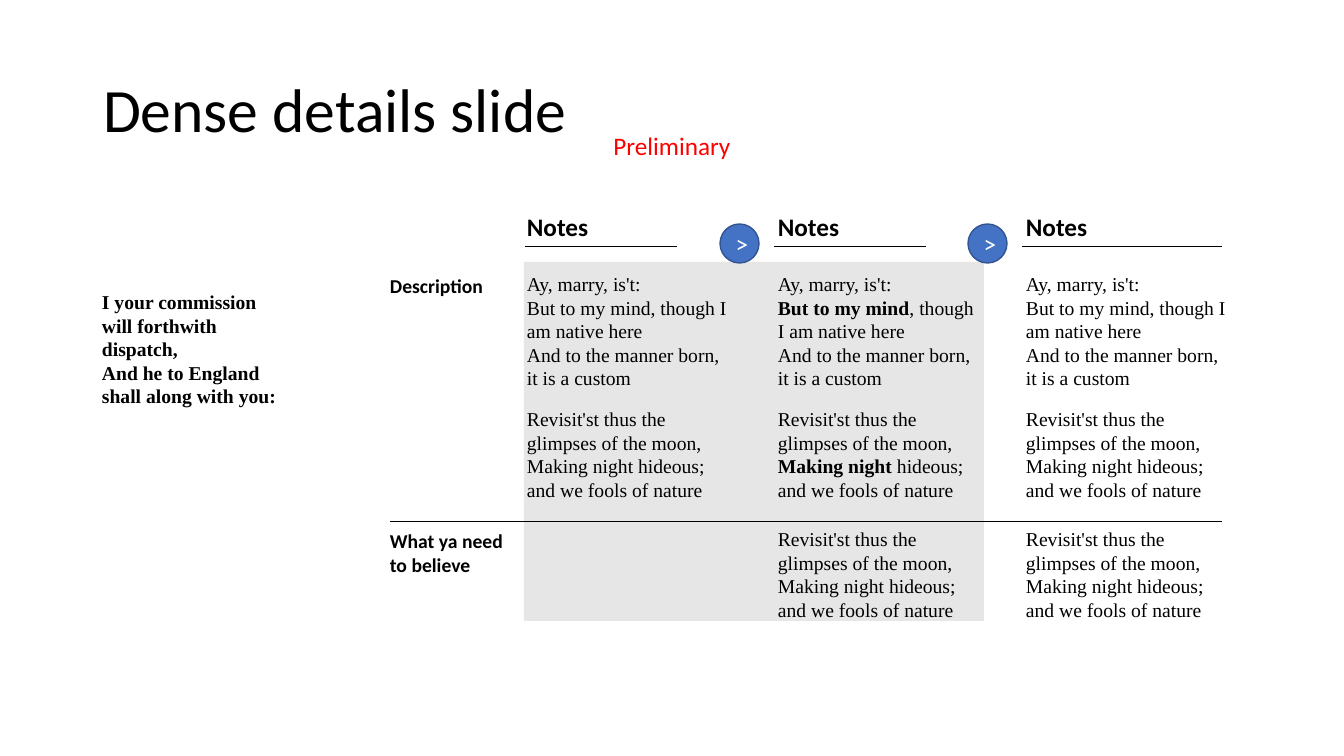
"""Builds a dense details slide with three columns of notes."""
from copy import deepcopy

from lxml.etree import SubElement
from pptx import Presentation
from pptx.dml.color import RGBColor
from pptx.enum.shapes import MSO_CONNECTOR, MSO_SHAPE
from pptx.enum.text import MSO_ANCHOR, MSO_AUTO_SIZE, PP_ALIGN
from pptx.oxml.ns import qn
from pptx.util import Emu, Pt

EMU_PER_PX = 914400 / 100.8
COLORS = {
    "black": "000000", "white": "FFFFFF", "red": "FF0000",
    "panel": "E7E6E6", "circle": "4472C4", "circle_edge": "325491",
}
SERIF = "Times New Roman"


def px(*lengths):
    return [Emu(round(length * EMU_PER_PX)) for length in lengths]


def write(shape, text, size=14, font=SERIF, color="black", bold=False,
          align=PP_ALIGN.LEFT, anchor=MSO_ANCHOR.TOP, fit=MSO_AUTO_SIZE.NONE):
    """Fill a shape; ** toggles bold and a newline is a line break."""
    frame = shape.text_frame
    frame.word_wrap = True
    frame.auto_size = fit
    frame.vertical_anchor = anchor
    paragraph = frame.paragraphs[0]
    paragraph.alignment = align
    for part_index, part in enumerate(text.split("**")):
        for line_index, line in enumerate(part.split("\n")):
            if line_index:
                paragraph.add_line_break()
                line_break = paragraph._p.findall(qn("a:br"))[-1]
                line_break.append(deepcopy(run._r.rPr))
            if not line:
                continue
            run = paragraph.add_run()
            run.text = line
            run.font.size = Pt(size)
            run.font.name = font
            run.font.bold = bold or part_index % 2 == 1
            run.font.color.rgb = RGBColor.from_string(COLORS[color])
    return paragraph


presentation = Presentation()
presentation.slide_width, presentation.slide_height = px(1344, 756)
slide = presentation.slides.add_slide(presentation.slide_layouts[5])
shapes = slide.shapes

panel = shapes.add_shape(MSO_SHAPE.RECTANGLE, *px(524, 262, 460, 359))
panel.shadow.inherit = False
panel.fill.solid()
panel.fill.fore_color.rgb = RGBColor.from_string(COLORS["panel"])
panel.line.fill.background()

title = shapes.title
title.left, title.top, title.width, title.height = px(93, 40, 1159, 146)
heading = write(title, "Dense details slide", size=44, font="Calibri",
                anchor=MSO_ANCHOR.MIDDLE)
heading.line_spacing = 0.9

custom = "Ay, marry, is't:\n{}, though I am native here\nAnd to the manner born, it is a custom"
moon = "Revisit'st thus the glimpses of the moon,\n{}hideous; and we fools of nature"
plain_custom = custom.format("But to my mind")
plain_moon = moon.format("Making night ")
columns = [
    (517, plain_custom, plain_moon, None),
    (768, custom.format("**But to my mind**"), moon.format("**Making night **"), plain_moon),
    (1016, plain_custom, plain_moon, plain_moon),
]
heading_format = {"size": 18, "font": "Calibri", "bold": True}
label_format = {"font": "Calibri", "bold": True}
text_boxes = [
    (380, 524, 134, 57, "What ya need to believe", label_format),
    (380, 269, 166, 34, "Description", label_format),
    (92, 285, 208, 129,
     "I your commission will forthwith dispatch,\nAnd he to England shall along with you:",
     {"bold": True}),
]
for left, description, detail, belief in columns:
    text_boxes += [
        (left, 206, 90, 40, "Notes", heading_format),
        (left, 267, 223, 129, description, {}),
        (left, 402, 223, 105, detail, {}),
    ]
    if belief:
        text_boxes.append((left, 522, 223, 105, belief, {}))
for left, top, width, height, text, text_format in text_boxes:
    text_box = shapes.add_textbox(*px(left, top, width, height))
    write(text_box, text, fit=MSO_AUTO_SIZE.SHAPE_TO_FIT_TEXT, **text_format)

preliminary = shapes.add_textbox(*px(594, 132, 156, 26))
write(preliminary, "Preliminary", size=18, font="Calibri", color="red",
      align=PP_ALIGN.CENTER, anchor=MSO_ANCHOR.MIDDLE)

for start, end, y in [(525, 677, 246), (774, 926, 246), (1022, 1222, 246), (390, 1222, 521)]:
    rule = shapes.add_connector(MSO_CONNECTOR.STRAIGHT, *px(start, y, end, y))
    rule.line.color.rgb = RGBColor.from_string(COLORS["black"])
    rule.line.width = Pt(0.5)
    SubElement(rule._element.spPr, qn("a:effectLst"))

for left in (720, 968):
    circle = shapes.add_shape(MSO_SHAPE.OVAL, *px(left, 224, 39, 39))
    circle.shadow.inherit = False
    circle.fill.solid()
    circle.fill.fore_color.rgb = RGBColor.from_string(COLORS["circle"])
    circle.line.color.rgb = RGBColor.from_string(COLORS["circle_edge"])
    circle.line.width = Pt(1)
    write(circle, ">", size=18, font="Calibri", color="white",
          align=PP_ALIGN.CENTER, anchor=MSO_ANCHOR.MIDDLE)

presentation.save("out.pptx")
